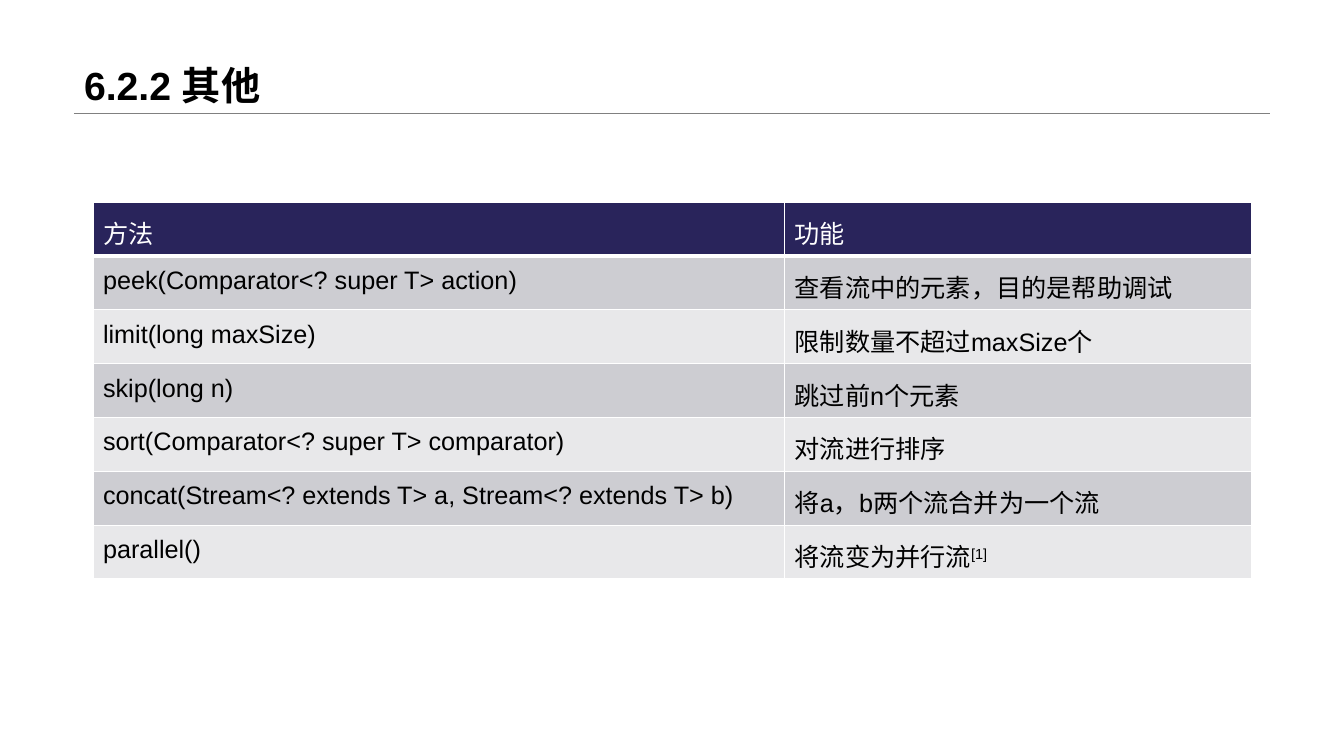
from lxml import etree
from pptx import Presentation
from pptx.dml.color import RGBColor
from pptx.enum.shapes import MSO_CONNECTOR
from pptx.enum.text import MSO_ANCHOR, MSO_AUTO_SIZE, PP_ALIGN
from pptx.oxml.ns import qn
from pptx.util import Pt

STRAIGHT = MSO_CONNECTOR.STRAIGHT
BOTTOM = MSO_ANCHOR.BOTTOM
LEFT = PP_ALIGN.LEFT
NO_AUTOFIT = MSO_AUTO_SIZE.NONE
TITLE_ONLY = 5

METHODS = [
    ("方法", "功能"),
    ("peek(Comparator<? super T> action)", "查看流中的元素，目的是帮助调试"),
    ("limit(long maxSize)", "限制数量不超过maxSize个"),
    ("skip(long n)", "跳过前n个元素"),
    ("sort(Comparator<? super T> comparator)", "对流进行排序"),
    ("concat(Stream<? extends T> a, Stream<? extends T> b)", "将a，b两个流合并为一个流"),
    ("parallel()", "将流变为并行流"),
]


def color(hex_string):
    return RGBColor.from_string(hex_string)


def add_text(paragraph, text, font="Arial", size=18, fill="000000", bold=False, baseline=0):
    paragraph.alignment = LEFT
    paragraph.line_spacing = 1.2
    run = paragraph.add_run()
    run.text = text
    run.font.name = font
    run.font.size = Pt(size)
    run.font.bold = bold
    run.font.color.rgb = color(fill)
    if baseline:
        run._r.get_or_add_rPr().set("baseline", str(baseline * 1000))


class SlideBuilder:
    header_fill = "29245B"
    band_fills = ("E8E8EA", "CDCDD2")
    border = "FFFFFF"

    def __init__(self, presentation):
        self.slide = presentation.slides.add_slide(presentation.slide_layouts[TITLE_ONLY])

    def title(self, text, left, top, width, height):
        shape = self.slide.shapes.title
        shape.left, shape.top, shape.width, shape.height = map(Pt, (left, top, width, height))
        frame = shape.text_frame
        frame.auto_size = NO_AUTOFIT
        frame.vertical_anchor = BOTTOM
        add_text(frame.paragraphs[0], text, size=28, bold=True)

    def rule(self, left, right, y, line, width):
        connector = self.slide.shapes.add_connector(STRAIGHT, Pt(left), Pt(y), Pt(right), Pt(y))
        connector.line.color.rgb = color(line)
        connector.line.width = Pt(width)
        etree.SubElement(connector._element.spPr, qn("a:effectLst"))

    def cell_borders(self, cell, bottom_width):
        properties = cell._tc.get_or_add_tcPr()
        for side, width in (("L", 1), ("R", 1), ("T", 1), ("B", bottom_width)):
            line = etree.SubElement(properties, qn(f"a:ln{side}"), w=str(Pt(width)))
            fill = etree.SubElement(line, qn("a:solidFill"))
            etree.SubElement(fill, qn("a:srgbClr"), val=self.border)

    def table(self, rows, left, top, column_widths, row_height):
        frame = self.slide.shapes.add_table(
            len(rows), len(column_widths), Pt(left), Pt(top),
            Pt(sum(column_widths)), Pt(row_height * len(rows)))
        table = frame.table
        for column, width in zip(table.columns, column_widths):
            column.width = Pt(width)
        for row_index, texts in enumerate(rows):
            table.rows[row_index].height = Pt(row_height)
            is_header = row_index == 0
            for column_index, text in enumerate(texts):
                cell = table.cell(row_index, column_index)
                self.cell_borders(cell, 3 if is_header else 1)
                cell.fill.solid()
                cell.fill.fore_color.rgb = color(
                    self.header_fill if is_header else self.band_fills[row_index % 2])
                add_text(cell.text_frame.paragraphs[0], text,
                         fill="FFFFFF" if is_header else "000000")
        return table


def main():
    presentation = Presentation()
    presentation.slide_width, presentation.slide_height = Pt(960), Pt(540)
    builder = SlideBuilder(presentation)

    # Heading and its rule
    builder.rule(52.8, 907.2, 81, "808080", 0.25)
    builder.title("6.2.2 其他", 52.8, 0, 854.4, 81)

    # Stream methods, with a reference mark in the last cell
    table = builder.table(METHODS, 66.4, 144.3, (494, 334), 29.5)
    last_cell = table.cell(len(METHODS) - 1, 1)
    add_text(last_cell.text_frame.paragraphs[0], "[1]", baseline=30)

    presentation.save("out.pptx")


if __name__ == "__main__":
    main()
